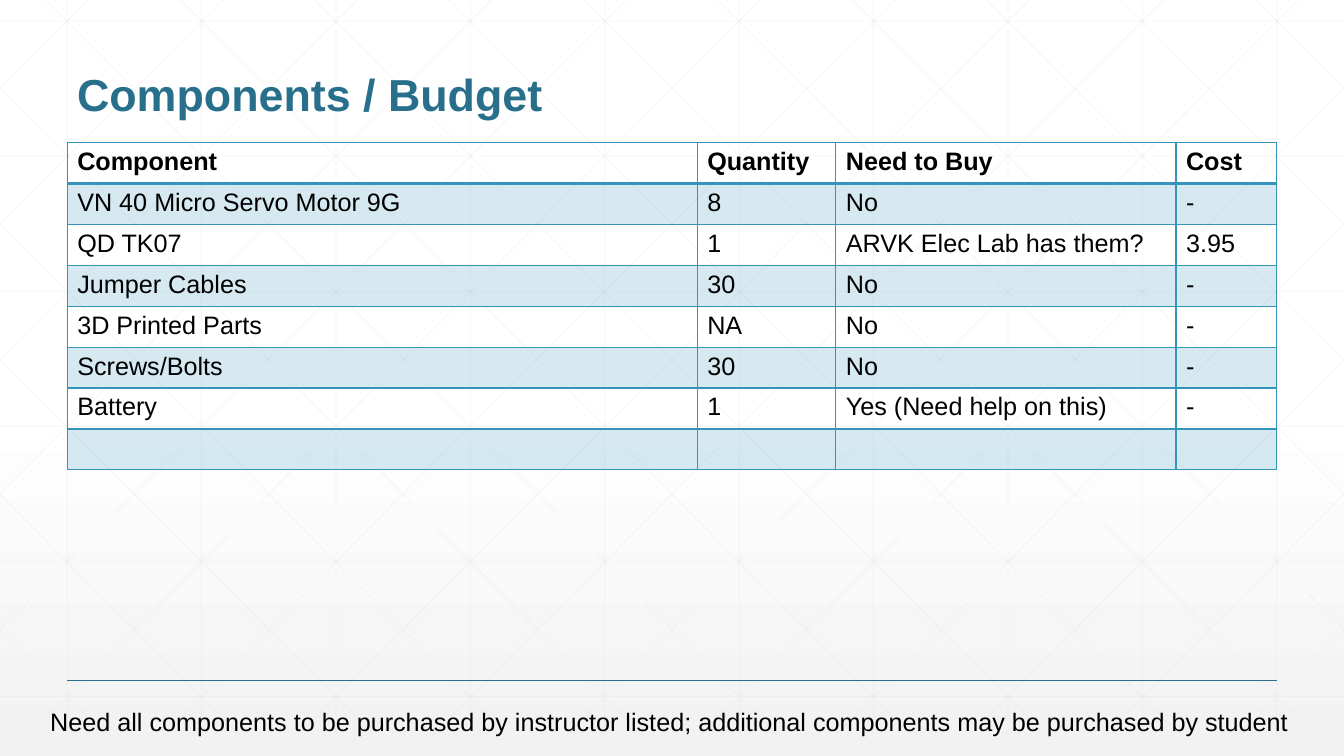
"""Build the components and budget slide."""
from lxml import etree
from pptx import Presentation
from pptx import util as u
from pptx.dml.color import RGBColor
from pptx.enum import shapes, text
from pptx.oxml import ns

GRID = RGBColor(0xD9, 0xD9, 0xD9)
TEAL = RGBColor(0x27, 0x6F, 0x8B)
BLUE = RGBColor(0x34, 0x94, 0xBA)
BLACK = RGBColor(0, 0, 0)
WHITE = RGBColor(0xFF, 0xFF, 0xFF)
PALE = RGBColor(0xF2, 0xF2, 0xF2)
W, H = 960, 540
TOP, BOTTOM = -15, 525
PITCH = 96
RUN = 537

ROWS = [
    ("Component", "Quantity", "Need to Buy", "Cost"),
    ("VN 40 Micro Servo Motor 9G", "8", "No", "-"),
    ("QD TK07", "1", "ARVK Elec Lab has them?", "3.95"),
    ("Jumper Cables", "30", "No", "-"),
    ("3D Printed Parts", "NA", "No", "-"),
    ("Screws/Bolts", "30", "No", "-"),
    ("Battery", "1", "Yes (Need help on this)", "-"),
    ("", "", "", ""),
]
COLUMNS = [450, 99, 243, 72]


def add_line(x1, y1, x2, y2, color, width, alpha=100):
    c = s.shapes.add_connector(shapes.MSO_CONNECTOR.STRAIGHT,
                               u.Pt(x1), u.Pt(y1), u.Pt(x2), u.Pt(y2))
    c.line.color.rgb = color
    c.line.width = u.Pt(width)
    if alpha < 100:
        clr = c.line._ln.find(".//" + ns.qn("a:srgbClr"))
        etree.SubElement(clr, ns.qn("a:alpha"), val=str(alpha * 1000))
    etree.SubElement(c._element.spPr, ns.qn("a:effectLst"))


def add_run(p, words, size, color, bold=False):
    r = p.add_run()
    r.text = words
    r.font.name = "Arial"
    r.font.size = u.Pt(size)
    r.font.bold = bold
    r.font.color.rgb = color


prs = Presentation()
prs.slide_width, prs.slide_height = u.Pt(W), u.Pt(H)
s = prs.slides.add_slide(prs.slide_layouts[6])

bg = s.background.fill
bg.gradient()
bg.gradient_angle = 270
for stop, position, color in zip(bg.gradient_stops, (0.53, 1), (WHITE, PALE)):
    stop.position = position
    stop.color.rgb = color

for i in range(10):
    x = 48 + PITCH * i
    add_line(x, TOP, x, BOTTOM, GRID, 0.5, 25)
for i in range(6):
    y = 15 + 96.5 * i
    add_line(0, y, W, y, GRID, 0.5, 25)
for i in range(-5, 10):
    start = 18 + PITCH * i
    x1, x2 = max(start, 0), min(start + RUN, W)
    y1, y2 = [TOP + (x - start) * (BOTTOM - TOP) / RUN for x in (x1, x2)]
    add_line(x1, y1, x2, y2, GRID, 0.5, 25)
    add_line(W - x1, y1, W - x2, y2, GRID, 0.5, 25)
add_line(48, 486, 912, 486, TEAL, 1)

title = s.shapes.add_textbox(u.Pt(48), u.Pt(18), u.Pt(864), u.Pt(72))
tf = title.text_frame
tf.word_wrap = True
tf.vertical_anchor = text.MSO_ANCHOR.BOTTOM
tf.paragraphs[0].line_spacing = 0.9
add_run(tf.paragraphs[0], "Components / Budget", 32, TEAL, True)

budget = s.shapes.add_table(len(ROWS), len(COLUMNS), u.Pt(48), u.Pt(102),
                            u.Pt(sum(COLUMNS)), u.Pt(29.2 * len(ROWS))).table
budget.first_row = budget.horz_banding = False
for column, width in zip(budget.columns, COLUMNS):
    column.width = u.Pt(width)
for i, row in enumerate(ROWS):
    for j, words in enumerate(row):
        cell = budget.cell(i, j)
        tcPr = cell._tc.get_or_add_tcPr()
        for side in "LRTB":
            heavy = (i, side) in ((0, "B"), (1, "T"))
            ln = etree.SubElement(tcPr, ns.qn("a:ln" + side),
                                  w=str(u.Pt(2 if heavy else 1)))
            solid = etree.SubElement(ln, ns.qn("a:solidFill"))
            etree.SubElement(solid, ns.qn("a:srgbClr"), val=str(BLUE))
        if i % 2:
            cell.fill.solid()
            cell.fill.fore_color.rgb = BLUE
            clr = tcPr.find(ns.qn("a:solidFill") + "/" + ns.qn("a:srgbClr"))
            etree.SubElement(clr, ns.qn("a:alpha"), val="20000")
        else:
            cell.fill.background()
        if words:
            add_run(cell.text_frame.paragraphs[0], words, 18, BLACK, i == 0)

note = s.shapes.add_textbox(u.Pt(28.8), u.Pt(501.1), u.Pt(907.2), u.Pt(29))
tf = note.text_frame
tf.word_wrap = False
tf.auto_size = text.MSO_AUTO_SIZE.SHAPE_TO_FIT_TEXT
add_run(tf.paragraphs[0],
        "Need all components to be purchased by instructor listed; "
        "additional components may be purchased by student", 18, BLACK)

prs.save("out.pptx")
